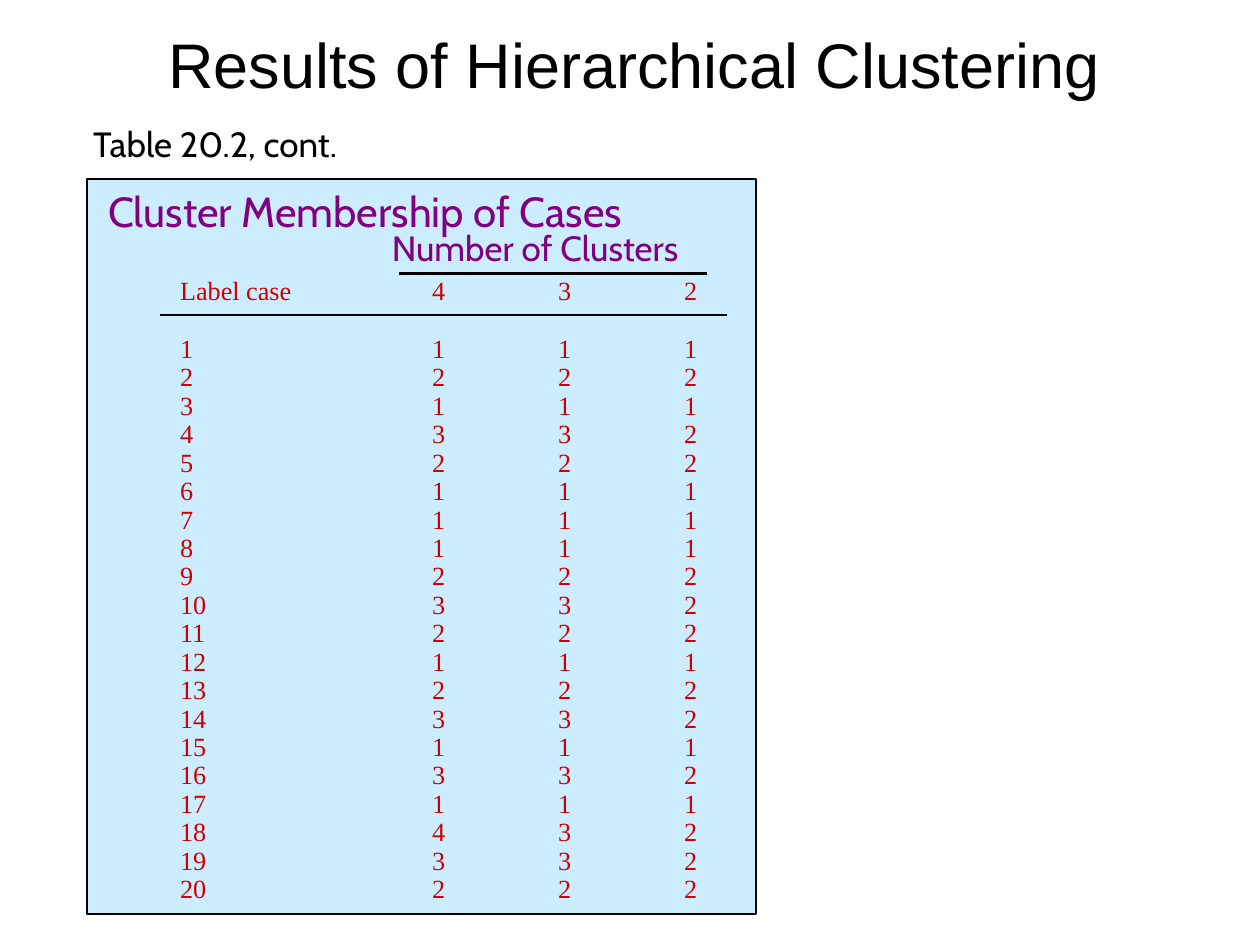
from lxml.etree import SubElement
from pptx import Presentation
from pptx.dml.color import RGBColor
from pptx.enum.shapes import MSO_CONNECTOR as Link, MSO_SHAPE as Shape
from pptx.enum.text import MSO_ANCHOR as Anchor, PP_ALIGN as Align
from pptx.oxml.ns import qn
from pptx.util import Cm, Pt

BLACK, PURPLE, RED, SKY = "000000", "800080", "CC0000", "CCECFF"
PLAIN = "{2D5ABB26-0587-4C30-8999-92F81FD0307C}"  # no style, no grid
ROW = 0.572
WIDTHS = (5.08, 2.54, 2.54, 1.27)
HEAD = ("Label case", "4", "3", "2")
# Cluster of each case when there are 4, 3 and 2 clusters
CASES = ("111 222 111 332 222 111 111 111 222 332 "
         "222 111 222 332 111 332 111 432 332 222").split()


def color(code):
    return RGBColor.from_string(code)


def box(*sides):
    return [Cm(side) for side in sides]


def style(para, face, size, code):
    para.font.name = face
    para.font.size = Pt(size)
    para.font.color.rgb = color(code)


def add_title(slide, text):
    title = slide.shapes.title
    title.left, title.top, title.width, title.height = box(1.63, 0.43, 22.3, 1.7)
    title.text = text
    title.text_frame.vertical_anchor = Anchor.MIDDLE
    para = title.text_frame.paragraphs[0]
    para.alignment = Align.CENTER
    style(para, "Arial", 36, BLACK)


def add_label(slide, text, place, size, code):
    frame = slide.shapes.add_textbox(*box(*place)).text_frame
    frame.word_wrap = True
    frame.text = text
    style(frame.paragraphs[0], "Cabin", size, code)


def add_panel(slide, place):
    panel = slide.shapes.add_shape(Shape.RECTANGLE, *box(*place))
    panel.shadow.inherit = False
    panel.fill.solid()
    panel.fill.fore_color.rgb = color(SKY)
    panel.line.color.rgb = color(BLACK)
    panel.line.width = Pt(1)


def add_rule(slide, left, right, y, width):
    rule = slide.shapes.add_connector(Link.STRAIGHT, *box(left, y, right, y))
    rule.line.color.rgb = color(BLACK)
    rule.line.width = Pt(width)
    SubElement(rule._element.spPr, qn("a:effectLst"))


def fill_cell(cell, text, anchor):
    cell.fill.background()
    cell.margin_left = cell.margin_right = 0
    cell.margin_top = cell.margin_bottom = 0
    cell.vertical_anchor = anchor
    cell.text = text
    para = cell.text_frame.paragraphs[0]
    para.line_spacing = 0.9
    style(para, "Times New Roman", 15, RED)


def add_grid(slide, left, top):
    rows = [HEAD] + [(str(n), *case) for n, case in enumerate(CASES, 1)]
    # The heading row is two rows tall
    place = box(left, top, sum(WIDTHS), ROW * (len(rows) + 1))
    grid = slide.shapes.add_table(len(rows), len(HEAD), *place).table
    grid.first_row = grid.horz_banding = False
    grid._tbl.tblPr.find(qn("a:tableStyleId")).text = PLAIN
    for col, width in zip(grid.columns, WIDTHS):
        col.width = Cm(width)
    for r, row in enumerate(rows):
        grid.rows[r].height = Cm(ROW if r else 2 * ROW)
        for c, text in enumerate(row):
            fill_cell(grid.cell(r, c), text, Anchor.MIDDLE if r else Anchor.TOP)


def main():
    deck = Presentation()
    deck.slide_width, deck.slide_height = box(25.4, 19.05)
    slide = deck.slides.add_slide(deck.slide_layouts[5])

    # Headings and panel
    add_title(slide, "Results of Hierarchical Clustering")
    add_label(slide, "Table 20.2, cont.", (1.63, 2.34, 5.92, 1.09), 20, BLACK)
    add_panel(slide, (1.75, 3.61, 13.49, 14.81))
    add_label(slide, "Cluster Membership of Cases", (1.93, 3.61, 12.34, 1.27), 24, PURPLE)
    add_label(slide, "Number of Clusters", (7.65, 4.45, 6.99, 1.09), 20, PURPLE)

    # Membership table with its rules
    add_grid(slide, 3.63, 5.64)
    add_rule(slide, 8.05, 14.25, 5.51, 2)
    add_rule(slide, 3.23, 14.66, 6.35, 1)

    deck.save("out.pptx")


if __name__ == "__main__":
    main()
